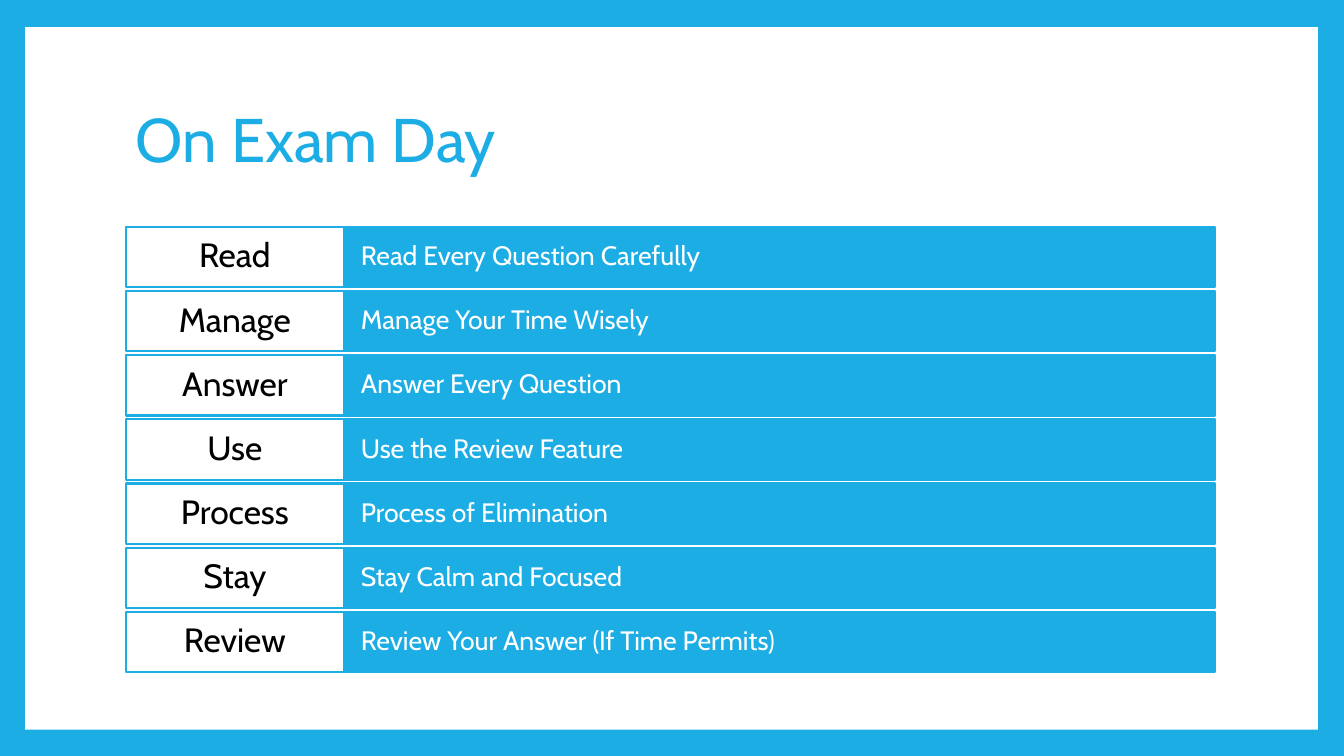
from pptx import Presentation
from pptx.dml.color import RGBColor
from pptx.enum.shapes import MSO_SHAPE as Shape
from pptx.enum.text import MSO_ANCHOR as Anchor, PP_ALIGN as Align
from pptx.util import Inches, Pt

FONT = "Cabin"
BLUE, WHITE, BLACK = "1CADE4", "FFFFFF", "000000"
WIDTH, HEIGHT = 13.33, 7.5
LEFT, TOP = 1.25, 2.25
CONTENT_W = 10.8
LABEL_W = CONTENT_W / 5
ROW_H, ROW_PITCH = 0.6, 3.82 / 6

STEPS = [
    ("Read", "Read Every Question Carefully"),
    ("Manage", "Manage Your Time Wisely"),
    ("Answer", "Answer Every Question"),
    ("Use", "Use the Review Feature"),
    ("Process", "Process of Elimination"),
    ("Stay", "Stay Calm and Focused"),
    ("Review", "Review Your Answer (If Time Permits)"),
]


def rgb(color):
    return RGBColor.from_string(color)


def set_text(sp, text, size, color, align=Align.LEFT, inset=(0.1, 0.05)):
    tf = sp.text_frame
    tf.word_wrap = True
    tf.vertical_anchor = Anchor.MIDDLE
    tf.margin_left = tf.margin_right = Inches(inset[0])
    tf.margin_top = tf.margin_bottom = Inches(inset[1])
    p = tf.paragraphs[0]
    p.text = text
    p.alignment = align
    p.line_spacing = 0.9
    p.font.name = FONT
    p.font.size = Pt(size)
    p.font.color.rgb = rgb(color)


def add_box(s, x, y, w, h, fill, line=None):
    sp = s.shapes.add_shape(Shape.RECTANGLE, *map(Inches, (x, y, w, h)))
    sp.shadow.inherit = False
    sp.fill.solid()
    sp.fill.fore_color.rgb = rgb(fill)
    if line:
        sp.line.color.rgb = rgb(line)
        sp.line.width = Pt(1.5)
    else:
        sp.line.fill.background()
    return sp


def add_title(s, text):
    sp = s.shapes.add_textbox(*map(Inches, (LEFT, 0.67, CONTENT_W, 1.48)))
    set_text(sp, text, 44, BLUE)


def add_step(s, row, label, advice):
    y = TOP + row * ROW_PITCH
    bar = add_box(s, LEFT + LABEL_W, y, CONTENT_W - LABEL_W, ROW_H, BLUE, BLUE)
    set_text(bar, advice, 19, WHITE, inset=(0.17, 0.15))
    tag = add_box(s, LEFT, y, LABEL_W, ROW_H, WHITE, BLUE)
    set_text(tag, label, 24, BLACK, Align.CENTER, (0.11, 0.06))


def main():
    prs = Presentation()
    prs.slide_width, prs.slide_height = Inches(WIDTH), Inches(HEIGHT)
    s = prs.slides.add_slide(prs.slide_layouts[6])
    s.background.fill.solid()
    s.background.fill.fore_color.rgb = rgb(BLUE)
    add_box(s, 0.25, 0.27, 12.82, 6.97, WHITE)
    add_title(s, "On Exam Day")
    for row, (label, advice) in enumerate(STEPS):
        add_step(s, row, label, advice)
    prs.save("out.pptx")


if __name__ == "__main__":
    main()
